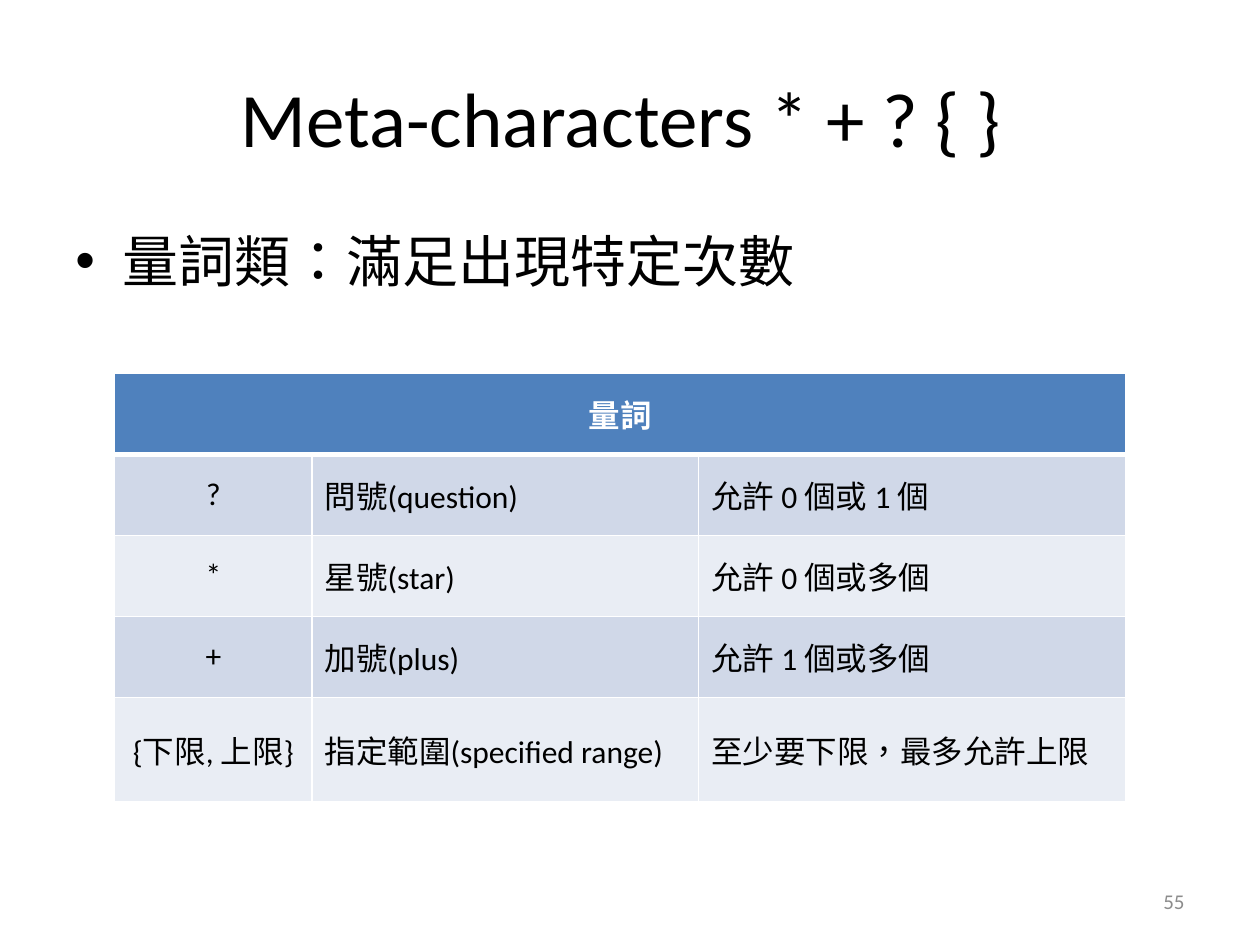
from pptx import Presentation
from pptx.util import Pt
from pptx.dml.color import RGBColor
from pptx.enum.lang import MSO_LANGUAGE_ID
from pptx.enum.text import PP_ALIGN, MSO_ANCHOR
from lxml.etree import SubElement
from pptx.oxml.ns import qn

COLORS = {
    "text": "000000", "white": "FFFFFF", "page": "8C8C8C",
    "head": "4F81BD", "odd": "D0D8E8", "even": "E9EDF4",
}
HEAD = "量詞"
ROWS = [
    ("?", "問號(question)", "允許 0 個或 1 個"),
    ("*", "星號(star)", "允許 0 個或多個"),
    ("+", "加號(plus)", "允許 1 個或多個"),
    ("{下限, 上限}", "指定範圍(specified range)", "至少要下限，最多允許上限"),
]
WIDTHS = (112.8, 221, 244.2)
# The last row holds two lines
HEIGHTS = [46.4] * len(ROWS) + [59.6]


def rgb(name):
    return RGBColor.from_string(COLORS[name])


def write(frame, text, size=18, color="text", bold=False,
          align=PP_ALIGN.LEFT, anchor=MSO_ANCHOR.MIDDLE):
    frame.word_wrap = True
    frame.vertical_anchor = anchor
    para = frame.paragraphs[0]
    para.alignment = align
    run = para.add_run()
    run.text = text
    font = run.font
    font.name, font.size, font.bold = "Calibri", Pt(size), bold
    font.language_id = MSO_LANGUAGE_ID.TRADITIONAL_CHINESE
    font.color.rgb = rgb(color)
    return para


def add_text(slide, box, text, **style):
    shape = slide.shapes.add_textbox(*map(Pt, box))
    return write(shape.text_frame, text, **style)


def add_bullet(para, indent):
    props = para._p.get_or_add_pPr()
    props.set("marL", str(Pt(indent)))
    props.set("indent", str(Pt(-indent)))
    space = SubElement(props, qn("a:spcBef"))
    SubElement(space, qn("a:spcPct"), val="20000")
    SubElement(props, qn("a:buFont"), typeface="Arial")
    SubElement(props, qn("a:buChar"), char="•")


def set_cell(cell, text, fill, top=1, base=1, **style):
    # Borders must come before the fill
    props = cell._tc.get_or_add_tcPr()
    for side, width in zip("LRTB", (1, 1, top, base)):
        line = SubElement(props, qn("a:ln" + side), w=str(Pt(width)))
        solid = SubElement(line, qn("a:solidFill"))
        SubElement(solid, qn("a:srgbClr"), val=COLORS["white"])
    cell.fill.solid()
    cell.fill.fore_color.rgb = rgb(fill)
    cell.vertical_anchor = MSO_ANCHOR.MIDDLE
    if text:
        write(cell.text_frame, text, **style)


def add_grid(slide, left, top):
    table = slide.shapes.add_table(
        len(HEIGHTS), len(WIDTHS), Pt(left), Pt(top),
        Pt(sum(WIDTHS)), Pt(sum(HEIGHTS))).table
    for col, width in zip(table.columns, WIDTHS):
        col.width = Pt(width)
    for row, height in zip(table.rows, HEIGHTS):
        row.height = Pt(height)

    # Header across all columns
    table.cell(0, 0).merge(table.cell(0, len(WIDTHS) - 1))
    for c in range(len(WIDTHS)):
        set_cell(table.cell(0, c), "" if c else HEAD, "head", base=3,
                 color="white", bold=True, align=PP_ALIGN.CENTER)

    # Banded body rows
    for r, row in enumerate(ROWS, 1):
        for c, text in enumerate(row):
            set_cell(table.cell(r, c), text, "odd" if r % 2 else "even",
                     top=3 if r == 1 else 1,
                     align=PP_ALIGN.LEFT if c else PP_ALIGN.CENTER)


def main():
    deck = Presentation()
    deck.slide_width, deck.slide_height = Pt(720), Pt(540)
    slide = deck.slides.add_slide(deck.slide_layouts[5])

    # Title
    title = slide.shapes.title
    title.left, title.top, title.width, title.height = map(
        Pt, (36, 21.6, 648, 90))
    write(title.text_frame, "Meta-characters * + ? { } ", size=44,
          align=PP_ALIGN.CENTER)

    # Lead line
    lead = add_text(slide, (36, 126, 648, 81), "量詞類：滿足出現特定次數",
                    size=32, anchor=MSO_ANCHOR.TOP)
    add_bullet(lead, 27)

    # Table of quantifiers
    add_grid(slide, 65.5, 213.2)

    # Page number
    add_text(slide, (516, 500.5, 168, 28.75), "55", size=12, color="page",
             align=PP_ALIGN.RIGHT)

    deck.save("out.pptx")


if __name__ == "__main__":
    main()
